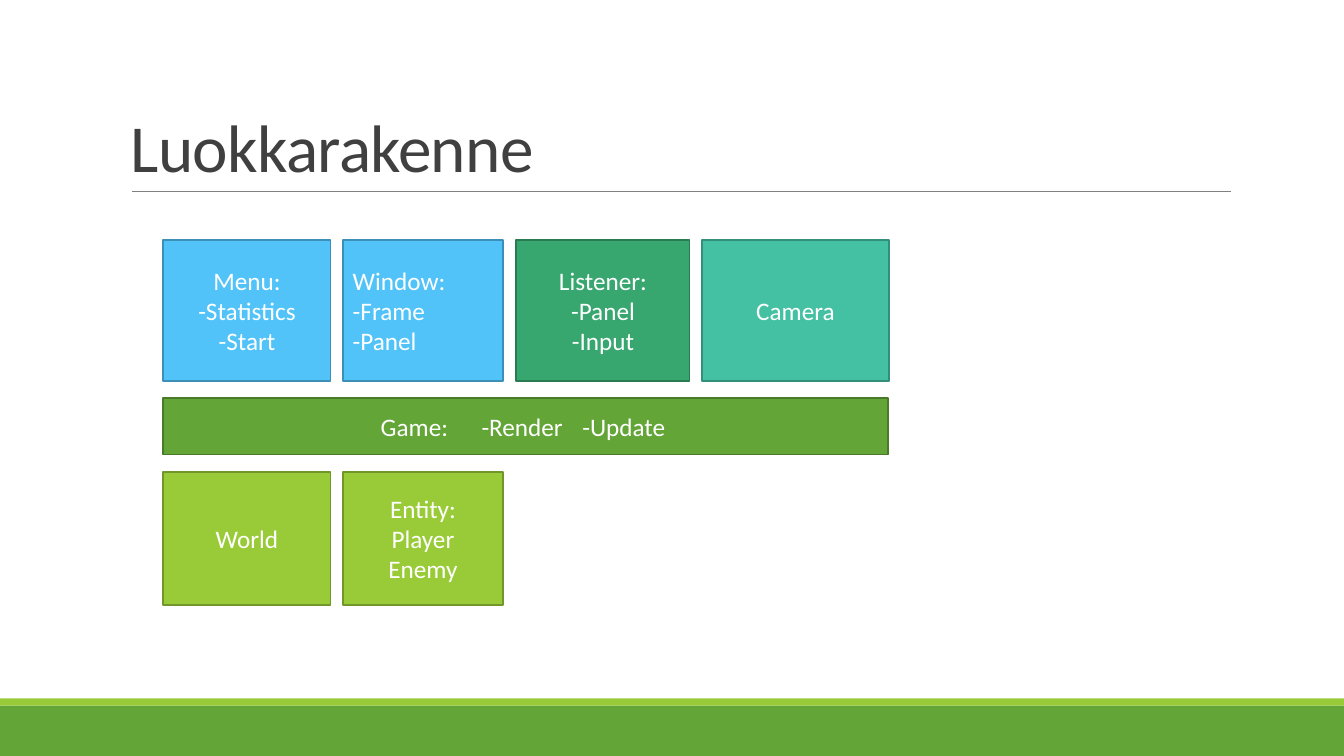
from dataclasses import dataclass

from lxml import etree
from pptx import Presentation
from pptx.dml.color import RGBColor
from pptx.enum.shapes import MSO_CONNECTOR, MSO_SHAPE
from pptx.enum.text import MSO_ANCHOR, PP_ALIGN
from pptx.oxml.ns import qn
from pptx.util import Inches, Pt

RECTANGLE = MSO_SHAPE.RECTANGLE
STRAIGHT = MSO_CONNECTOR.STRAIGHT
LEFT, CENTER = PP_ALIGN.LEFT, PP_ALIGN.CENTER
MIDDLE, BOTTOM = MSO_ANCHOR.MIDDLE, MSO_ANCHOR.BOTTOM


@dataclass(frozen=True)
class Theme:
    font: str = "Calibri"
    title_size: float = 48
    body_size: float = 18
    outline: float = 1.25
    hairline: float = 0.5
    title: str = "404040"
    rule: str = "808080"
    white: str = "FFFFFF"
    blue: tuple = ("51C3F9", "3C90B8")
    emerald: tuple = ("37A76F", "297C52")
    teal: tuple = ("44C1A3", "328F79")
    green: tuple = ("63A537", "497A29")
    lime: tuple = ("99CB38", "719629")


class SlideBuilder:
    def __init__(self, slide, theme):
        self.slide = slide
        self.theme = theme

    def add_lines(self, frame, lines, size, color, align, anchor):
        frame.word_wrap = True
        frame.vertical_anchor = anchor
        for index, line in enumerate(lines):
            para = frame.paragraphs[0] if index == 0 else frame.add_paragraph()
            para.alignment = align
            span = para.add_run()
            span.text = line
            span.font.name = self.theme.font
            span.font.size = Pt(size)
            span.font.color.rgb = RGBColor.from_string(color)

    def rectangle(self, area, fill):
        box = self.slide.shapes.add_shape(RECTANGLE, *map(Inches, area))
        box.shadow.inherit = False
        box.fill.solid()
        box.fill.fore_color.rgb = RGBColor.from_string(fill)
        box.line.fill.background()
        return box

    def class_box(self, area, colors, lines, align=CENTER):
        fill, outline = colors
        box = self.rectangle(area, fill)
        box.line.color.rgb = RGBColor.from_string(outline)
        box.line.width = Pt(self.theme.outline)
        self.add_lines(box.text_frame, lines, self.theme.body_size,
                       self.theme.white, align, MIDDLE)

    def rule(self, left, right, top):
        line = self.slide.shapes.add_connector(
            STRAIGHT, Inches(left), Inches(top), Inches(right), Inches(top))
        line.line.color.rgb = RGBColor.from_string(self.theme.rule)
        line.line.width = Pt(self.theme.hairline)
        etree.SubElement(line._element.spPr, qn("a:effectLst"))

    def title(self, area, text):
        box = self.slide.shapes.add_textbox(*map(Inches, area))
        self.add_lines(box.text_frame, [text], self.theme.title_size,
                       self.theme.title, LEFT, BOTTOM)
        para = box.text_frame.paragraphs[0]
        para.line_spacing = 0.85
        para.runs[0]._r.get_or_add_rPr().set("spc", "-50")


def main():
    deck = Presentation()
    deck.slide_width, deck.slide_height = Inches(13.33), Inches(7.5)
    theme = Theme()
    page = SlideBuilder(deck.slides.add_slide(deck.slide_layouts[6]), theme)

    page.rectangle((0, 7, 13.33, 0.5), theme.green[0])
    page.rectangle((0, 6.93, 13.33, 0.07), theme.lime[0])
    page.rule(1.31, 12.21, 1.9)
    page.title((1.2, 0.31, 11, 1.59), "Luokkarakenne")

    columns = [(1.62, 1.66), (3.4, 1.59), (5.12, 1.72), (6.96, 1.86)]
    top_row = [
        (theme.blue, ["Menu:", "-Statistics", "-Start"], CENTER),
        (theme.blue, ["Window:", "-Frame", "-Panel"], LEFT),
        (theme.emerald, ["Listener:", "-Panel", "-Input"], CENTER),
        (theme.teal, ["Camera"], CENTER),
    ]
    bottom_row = [
        (theme.lime, ["World"], CENTER),
        (theme.lime, ["Entity:", "Player", "Enemy"], CENTER),
    ]
    for top, height, row in [(2.38, 1.4, top_row), (4.68, 1.32, bottom_row)]:
        for (left, width), (colors, lines, align) in zip(columns, row):
            page.class_box((left, top, width, height), colors, lines, align)
    page.class_box((1.62, 3.95, 7.19, 0.56), theme.green,
                   ["Game:\t-Render\t-Update "])

    deck.save("out.pptx")


if __name__ == "__main__":
    main()
